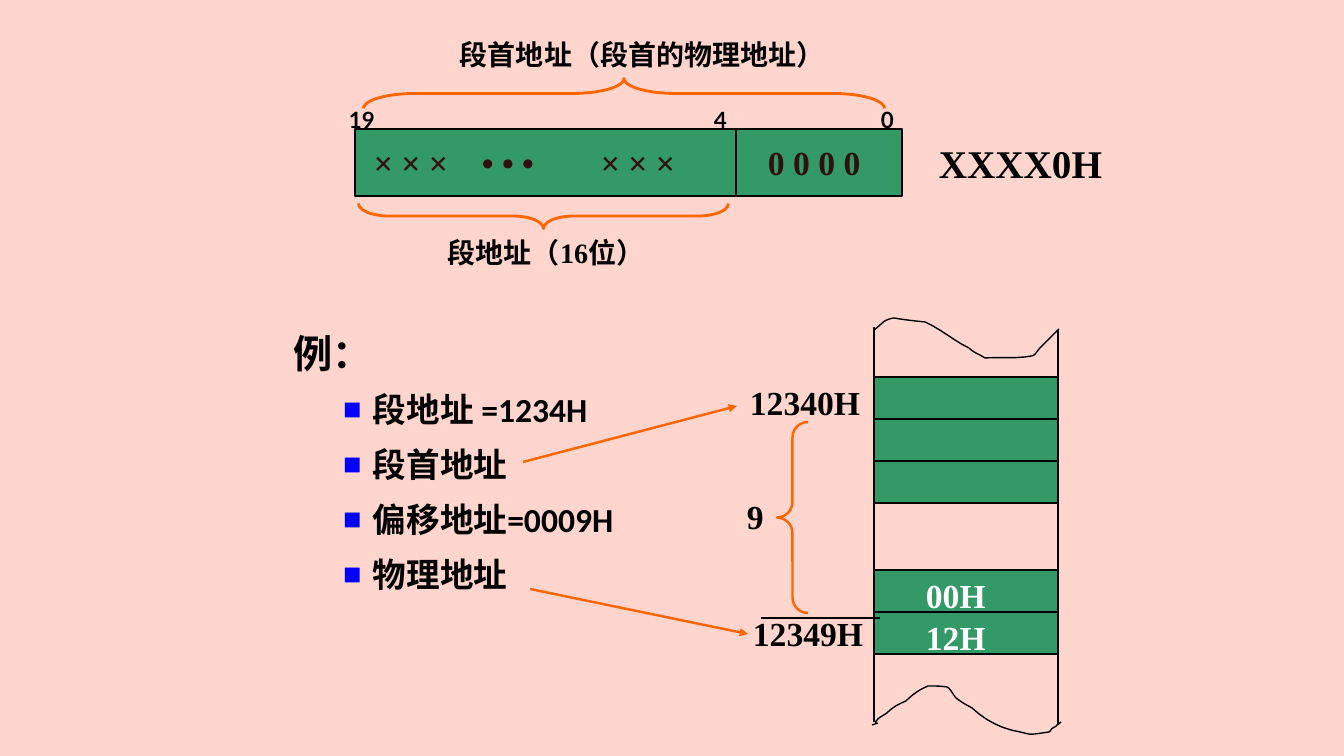
from dataclasses import dataclass
from typing import Any

from lxml import etree
from pptx import Presentation, util as u
from pptx.dml.color import RGBColor
from pptx.enum import shapes
from pptx.oxml import ns

EMU_PER_PX = 914400 / 100.8
Point = tuple[float, float]


@dataclass(frozen=True)
class Theme:
    background: str = "FFD5CD"
    green: str = "339966"
    orange: str = "FF6600"
    black: str = "000000"
    white: str = "FFFFFF"
    bits: str = "301010"
    bullet: str = "0000FF"
    serif: str = "Times New Roman"
    sans: str = "Calibri"
    digits: str = "Lato"
    chinese: str = "Noto Sans CJK SC"
    small: int = 16
    caption: int = 20
    body: int = 24
    large: int = 28


THEME = Theme()


@dataclass(frozen=True)
class Label:
    text: str
    x: int
    y: int
    width: int
    height: int = 50
    size: int = THEME.body
    color: str = THEME.black
    font: str = THEME.serif


@dataclass(frozen=True)
class Cell:
    x: int
    y: int
    width: int
    height: int


@dataclass(frozen=True)
class Brace:
    x: int
    y: int
    width: int
    height: int
    bend: float
    rotation: int = 0
    weight: float = 2


@dataclass(frozen=True)
class Line:
    start: Point
    end: Point
    arrow: bool = False


@dataclass(frozen=True)
class Item:
    text: str
    size: int
    font: str
    line_height: float
    before: float = 0
    after: float = 0
    indent: int = 29
    bullet: bool = False


COLUMN_LEFT, COLUMN_RIGHT, CELL_HEIGHT = 874, 1058, 42
REGISTER_TOP, REGISTER_HEIGHT = 129, 67

CELLS = [Cell(736, REGISTER_TOP, 166, REGISTER_HEIGHT),
         Cell(355, REGISTER_TOP, 381, REGISTER_HEIGHT)]
CELLS += [Cell(COLUMN_LEFT, top + row * CELL_HEIGHT, COLUMN_RIGHT - COLUMN_LEFT, CELL_HEIGHT)
          for top, count in ((377, 3), (570, 2)) for row in range(count)]

BRACES = [
    Brace(531, 31, 25, 370, 1.22, 270),
    Brace(609, -167, 30, 521, 1.72, 90),
    Brace(777, 422, 31, 191, 0.5, weight=1.75),
]

LINES = [
    Line((COLUMN_LEFT, 327), (COLUMN_LEFT, 722)),
    Line((COLUMN_RIGHT, 330), (COLUMN_RIGHT, 725)),
    Line((761, 618), (880, 618)),
    Line((530, 589), (748, 634), True),
    Line((523, 462), (737, 406), True),
]

TORN_EDGES: list[list[Point]] = [
    [(874, 330), (876, 329), (883, 322), (885, 321), (888, 319), (894, 318), (894, 318),
     (905, 320), (915, 321), (925, 322), (941, 329), (954, 341), (969, 348),
     (974, 353), (979, 354), (985, 358), (1001, 357), (1016, 359), (1032, 356),
     (1036, 355), (1037, 351), (1040, 348), (1046, 342), (1053, 335), (1059, 329)],
    [(872, 725), (885, 721), (870, 726), (878, 719), (881, 716), (885, 715), (888, 712),
     (893, 707), (899, 704), (906, 701), (913, 694), (919, 690), (928, 686),
     (934, 686), (940, 686), (947, 687), (950, 688), (954, 696), (956, 698),
     (964, 704), (965, 704), (972, 708), (986, 721), (1002, 729), (1020, 732),
     (1032, 735), (1029, 735), (1049, 732), (1051, 731), (1051, 729), (1053, 728),
     (1054, 727), (1056, 727), (1057, 725), (1059, 724), (1061, 722), (1061, 722)],
]

LABELS = [
    Label("段地址（16位）", 438, 231, 260, 43, THEME.caption),
    Label("段首地址（段首的物理地址）", 450, 33, 405, 43, THEME.caption),
    Label("0 0 0 0", 758, 137, 126, color=THEME.bits),
    Label("× × ×", 364, 137, 100, color=THEME.bits),
    Label("• • •", 472, 137, 100, color=THEME.bits),
    Label("× × ×", 591, 137, 140, color=THEME.bits),
    *(Label(bit, x, 101, 63, 37, THEME.small, font=THEME.digits)
      for bit, x in (("19", 339), ("4", 704), ("0", 871))),
    Label("12349H", 743, 608, 134),
    Label("12340H", 740, 377, 134),
    Label("9", 737, 491, 44),
    Label("00H", 916, 570, 93, color=THEME.white),
    Label("12H", 916, 612, 93, color=THEME.white),
    Label("XXXX0H", 929, 134, 190, 57, THEME.large),
]

EXAMPLE = [Item("例：", THEME.large, THEME.chinese, 43)]
EXAMPLE += [Item(text, THEME.body, THEME.sans, 34.5, 3.6, 1.2, 79, True)
            for text in ("段地址 =1234H", "段首地址", "偏移地址=0009H", "物理地址")]


def px(value: float) -> u.Emu:
    return u.Emu(round(value * EMU_PER_PX))


def rgb(color: str) -> RGBColor:
    return RGBColor.from_string(color)


def style_line(shape: Any, color: str, weight: float) -> None:
    shape.line.color.rgb = rgb(color)
    shape.line.width = u.Pt(weight)


def style_runs(para: Any, size: int, font: str, color: str) -> None:
    for span in para.runs:
        span.font.size = u.Pt(size)
        span.font.bold = True
        span.font.name = font
        span.font.color.rgb = rgb(color)
        east_asian = etree.SubElement(span.font._element, ns.qn("a:ea"))
        east_asian.set("typeface", THEME.chinese)


def add_text_box(page: Any, x: int, y: int, width: int, height: int) -> Any:
    box = page.shapes.add_textbox(px(x), px(y), px(width), px(height))
    box.text_frame.word_wrap = True
    return box


def add_label(page: Any, label: Label) -> None:
    box = add_text_box(page, label.x, label.y, label.width, label.height)
    box.text_frame.text = label.text
    style_runs(box.text_frame.paragraphs[0], label.size, label.font, label.color)


def add_cell(page: Any, cell: Cell) -> None:
    shape = page.shapes.add_shape(shapes.MSO_SHAPE.RECTANGLE, px(cell.x), px(cell.y),
                                  px(cell.width), px(cell.height))
    shape.shadow.inherit = False
    shape.fill.solid()
    shape.fill.fore_color.rgb = rgb(THEME.green)
    style_line(shape, THEME.black, 1)


def add_brace(page: Any, brace: Brace) -> None:
    shape = page.shapes.add_shape(shapes.MSO_SHAPE.LEFT_BRACE, px(brace.x), px(brace.y),
                                  px(brace.width), px(brace.height))
    shape.shadow.inherit = False
    shape.adjustments[0] = brace.bend
    shape.rotation = brace.rotation
    shape.fill.background()
    style_line(shape, THEME.orange, brace.weight)


def add_line(page: Any, line: Line) -> None:
    connector = page.shapes.add_connector(shapes.MSO_CONNECTOR.STRAIGHT,
                                          *map(px, line.start + line.end))
    style_line(connector, THEME.orange if line.arrow else THEME.black, 1.75 if line.arrow else 1)
    if line.arrow:
        etree.SubElement(connector.line._get_or_add_ln(), ns.qn("a:tailEnd")).set("type", "triangle")
    etree.SubElement(connector._element.spPr, ns.qn("a:effectLst"))


def trace_curve(controls: list[Point], steps: int = 6) -> list[Point]:
    points = []
    for first in range(0, len(controls) - 1, 3):
        for step in range(1, steps + 1):
            t = step / steps
            weights = ((1 - t) ** 3, 3 * t * (1 - t) ** 2, 3 * t * t * (1 - t), t ** 3)
            corners = list(zip(weights, controls[first:first + 4]))
            points.append((sum(w * c[0] for w, c in corners), sum(w * c[1] for w, c in corners)))
    return points


def add_torn_edge(page: Any, controls: list[Point]) -> None:
    builder = page.shapes.build_freeform(*map(px, controls[0]))
    builder.add_line_segments([(px(x), px(y)) for x, y in trace_curve(controls)], close=False)
    shape = builder.convert_to_shape()
    shape.shadow.inherit = False
    shape.fill.background()
    style_line(shape, THEME.black, 1)


def add_bullet(para: Any) -> None:
    properties = para._p.get_or_add_pPr()
    color = etree.SubElement(properties, ns.qn("a:buClr"))
    etree.SubElement(color, ns.qn("a:srgbClr")).set("val", THEME.bullet)
    etree.SubElement(properties, ns.qn("a:buSzPct")).set("val", "55000")
    etree.SubElement(properties, ns.qn("a:buFont")).set("typeface", THEME.chinese)
    etree.SubElement(properties, ns.qn("a:buChar")).set("char", "■")


def add_example(page: Any, items: list[Item]) -> None:
    frame = add_text_box(page, 284, 311, 424, 381).text_frame
    frame.text = "\n".join(item.text for item in items)
    for para, item in zip(frame.paragraphs, items):
        para.line_spacing = u.Pt(item.line_height)
        if item.before:
            para.space_before = u.Pt(item.before)
        para.space_after = u.Pt(item.after)
        properties = para._p.get_or_add_pPr()
        properties.set("marL", str(px(item.indent)))
        properties.set("indent", str(px(-29)))
        if item.bullet:
            para.level = 1
            add_bullet(para)
        style_runs(para, item.size, item.font, THEME.black)


def main() -> None:
    deck = Presentation()
    deck.slide_width, deck.slide_height = px(1344), px(756)
    page = deck.slides.add_slide(deck.slide_layouts[6])
    page.background.fill.solid()
    page.background.fill.fore_color.rgb = rgb(THEME.background)
    for draw, parts in ((add_cell, CELLS), (add_brace, BRACES), (add_line, LINES),
                        (add_torn_edge, TORN_EDGES), (add_label, LABELS)):
        for part in parts:
            draw(page, part)
    add_example(page, EXAMPLE)
    deck.save("out.pptx")


if __name__ == "__main__":
    main()
